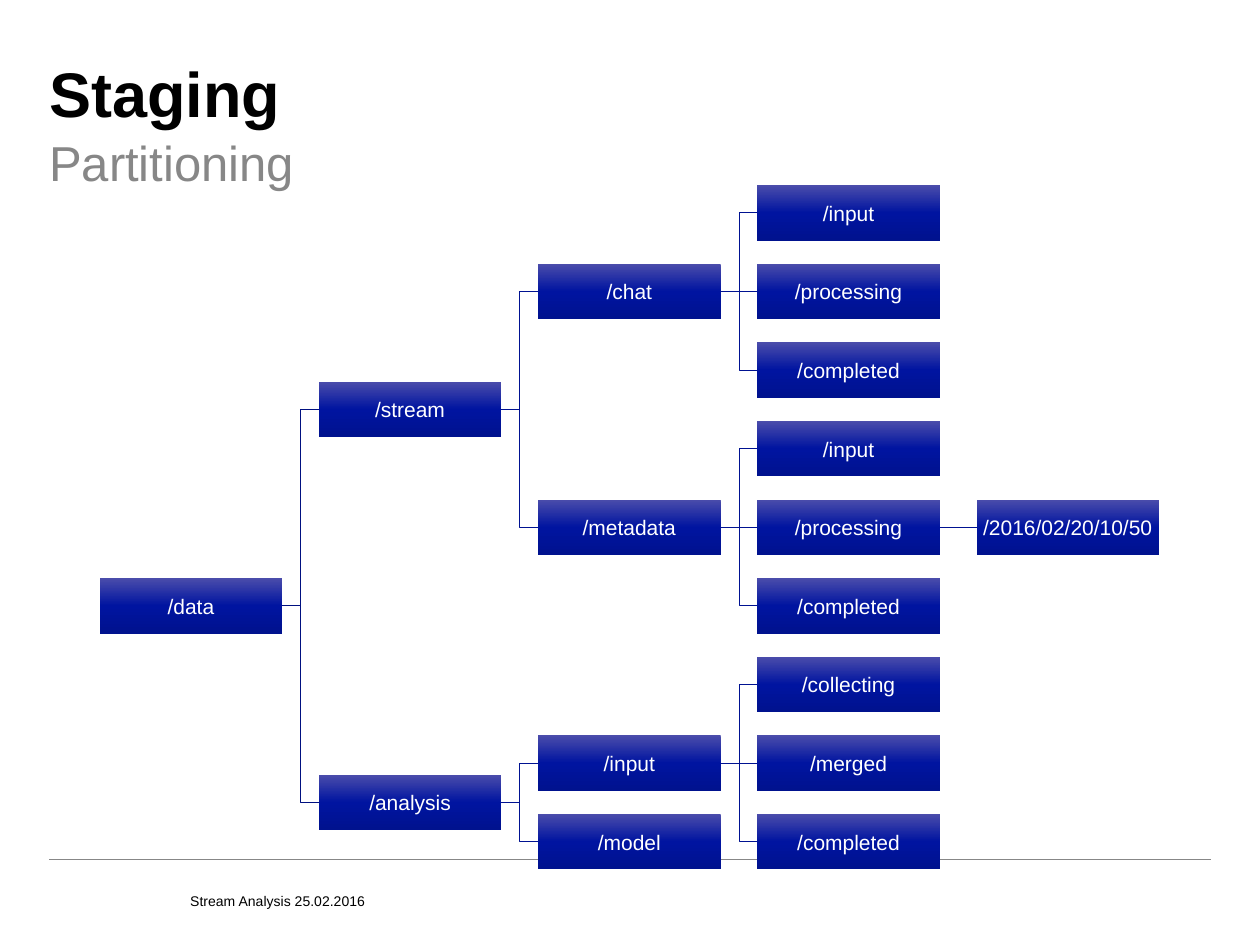
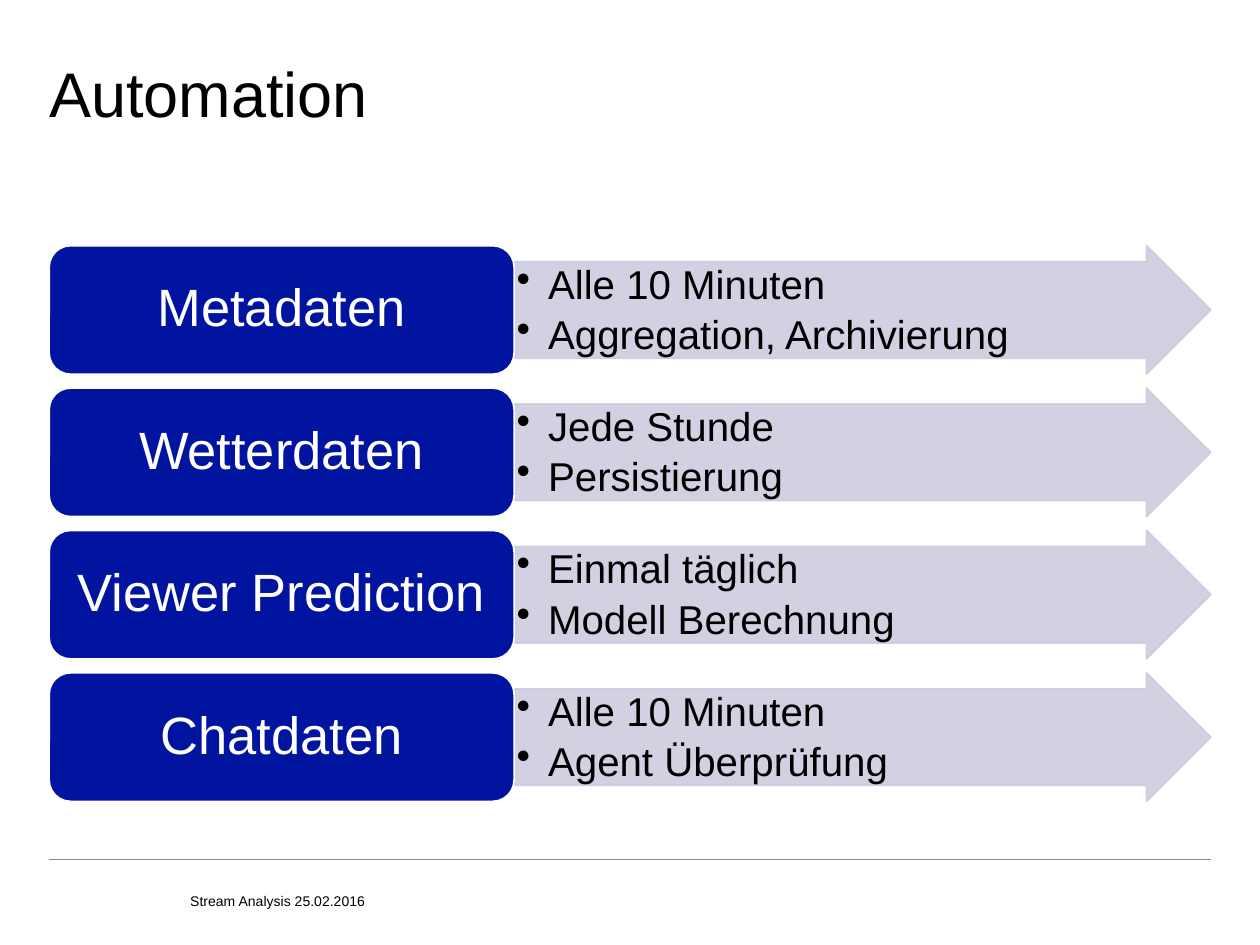
from copy import deepcopy
from dataclasses import dataclass, field

from lxml.etree import SubElement
from pptx import Presentation
from pptx.dml.color import RGBColor
from pptx.enum.shapes import MSO_CONNECTOR, MSO_SHAPE
from pptx.enum.text import MSO_ANCHOR, MSO_AUTO_SIZE, PP_ALIGN
from pptx.oxml.ns import qn
from pptx.util import Inches, Pt

BLACK = RGBColor(0x00, 0x00, 0x00)
WHITE = RGBColor(0xFF, 0xFF, 0xFF)
GRAY = RGBColor(0x87, 0x87, 0x87)
BLUE = RGBColor(0x00, 0x14, 0xA0)
PALE_BLUE = RGBColor(0xCC, 0xCC, 0xDF)
ROOT_LINE = RGBColor(0x00, 0x10, 0x80)
BRANCH_LINE = RGBColor(0x00, 0x12, 0x91)
FOLDER_GRADIENT = [
    (0, RGBColor(0x4B, 0x4D, 0xAB)),
    (0.5, BLUE),
    (1, RGBColor(0x00, 0x12, 0x8E)),
]

TITLE_AND_BODY, TITLE_ONLY = 1, 5
LEFT, RIGHT = 0.39, 9.61
FOOTER = "Stream Analysis 25.02.2016"

TREE_LEFT, TREE_TOP = 0.79, 1.47
FOLDER_WIDTH, FOLDER_HEIGHT = 1.45, 0.44
COLUMN_PITCH = 1.2 * FOLDER_WIDTH
ROW_PITCH = (6.46 - TREE_TOP) / 8

JOBS_TOP, JOB_PITCH, JOB_HEIGHT = 1.95, 1.13, 1.02
JOB_WIDTH = 3.69
JOBS = [
    ("Metadaten", ["Alle 10 Minuten", "Aggregation, Archivierung"]),
    ("Wetterdaten", ["Jede Stunde", "Persistierung"]),
    ("Viewer Prediction", ["Einmal täglich", "Modell Berechnung"]),
    ("Chatdaten", ["Alle 10 Minuten", "Agent Überprüfung"]),
]


@dataclass
class Folder:
    name: str
    leaf_row: float = 0
    children: list = field(default_factory=list)

    @property
    def row(self):
        """Parents sit halfway between their first and last child."""
        if not self.children:
            return self.leaf_row
        return (self.children[0].row + self.children[-1].row) / 2


def leaves(first_row, *names):
    return [Folder(name, first_row + i) for i, name in enumerate(names)]


def folder_tree():
    chat = Folder("/chat", children=leaves(0, "/input", "/processing", "/completed"))
    metadata = Folder("/metadata", children=leaves(3, "/input", "/processing", "/completed"))
    metadata.children[1].children = leaves(4, "/2016/02/20/10/50")
    results = Folder("/input", children=leaves(6, "/collecting", "/merged", "/completed"))
    stream = Folder("/stream", children=[chat, metadata])
    analysis = Folder("/analysis", children=[results, Folder("/model", 8)])
    return Folder("/data", children=[stream, analysis])


class Deck:
    def __init__(self, font="Arial"):
        self.font = font
        self.slide = None
        self.presentation = Presentation()
        self.presentation.slide_width = Inches(10)
        self.presentation.slide_height = Inches(7.5)

    def start_slide(self, layout, title, bold=False):
        self.slide = self.presentation.slides.add_slide(
            self.presentation.slide_layouts[layout])
        self.heading(self.slide.shapes.title, title, 0.41, 0.62, 36, BLACK, bold)
        footer = self.slide.shapes.add_textbox(
            Inches(1.51), Inches(6.9), Inches(7.43), Inches(0.32))
        self.set_text(footer, [FOOTER], 8, BLACK, anchor=MSO_ANCHOR.BOTTOM)

    def heading(self, placeholder, text, top, height, size, color, bold=False):
        placeholder.left, placeholder.top = Inches(LEFT), Inches(top)
        placeholder.width, placeholder.height = Inches(6.97), Inches(height)
        self.set_text(placeholder, [text], size, color, bold=bold, anchor=MSO_ANCHOR.BOTTOM)

    def subtitle(self, text):
        body = self.slide.placeholders[1]
        self.heading(body, text, 0.97, 0.55, 28, GRAY)
        paragraph = body.text_frame.paragraphs[0]
        paragraph.line_spacing = 1.1
        properties = paragraph._p.get_or_add_pPr()
        properties.set("marL", "0")
        properties.set("indent", "0")
        SubElement(properties, qn("a:buNone"))

    def set_text(self, shape, lines, size, color, bold=False, align=PP_ALIGN.LEFT,
                 anchor=MSO_ANCHOR.MIDDLE, inset=(0, 0)):
        """Fill a shape with one paragraph per line; inset is (sides, top and bottom)."""
        frame = shape.text_frame
        frame.text = "\n".join(lines)
        frame.word_wrap = True
        frame.auto_size = MSO_AUTO_SIZE.NONE
        frame.vertical_anchor = anchor
        frame.margin_left = frame.margin_right = Inches(inset[0])
        frame.margin_top = frame.margin_bottom = Inches(inset[1])
        for paragraph in frame.paragraphs:
            paragraph.alignment = align
            paragraph.space_before = Pt(0)
            for run in paragraph.runs:
                run.font.name = self.font
                run.font.size = Pt(size)
                run.font.bold = bold
                run.font.color.rgb = color

    def shape(self, kind, left, top, width, height):
        shape = self.slide.shapes.add_shape(
            kind, Inches(left), Inches(top), Inches(width), Inches(height))
        shape.shadow.inherit = False
        return shape

    def block(self, kind, left, top, width, height, fill, line):
        shape = self.shape(kind, left, top, width, height)
        shape.fill.solid()
        shape.fill.fore_color.rgb = fill
        shape.line.color.rgb = line
        shape.line.width = Pt(1)
        return shape

    def line(self, kind, color, start=(0, 0), end=(0, 0)):
        connector = self.slide.shapes.add_connector(
            kind, *(Inches(value) for value in (*start, *end)))
        connector.line.color.rgb = color
        connector.line.width = Pt(0.5)
        SubElement(connector._element.spPr, qn("a:effectLst"))
        return connector

    def rule_on_master(self):
        rule = self.line(MSO_CONNECTOR.STRAIGHT, GRAY, (LEFT, 6.82), (RIGHT, 6.82))
        self.presentation.slide_master.shapes._spTree.append(rule._element)

    def folder_box(self, folder, depth):
        box = self.shape(
            MSO_SHAPE.RECTANGLE, TREE_LEFT + depth * COLUMN_PITCH,
            TREE_TOP + folder.row * ROW_PITCH, FOLDER_WIDTH, FOLDER_HEIGHT)
        box.line.fill.background()
        box.fill.gradient()
        box.fill.gradient_angle = 270
        stop_list = box._element.spPr.find(".//" + qn("a:gsLst"))
        stop_list.insert(1, deepcopy(stop_list[0]))
        for stop, (position, color) in zip(box.fill.gradient_stops, FOLDER_GRADIENT):
            stop.position = position
            stop.color.rgb = color
        self.set_text(box, [folder.name], 12, WHITE, align=PP_ALIGN.CENTER, inset=(0.01, 0.01))
        return box

    def tree(self, folder, depth=0):
        """Draw a folder with everything below it and return its box."""
        box = self.folder_box(folder, depth)
        for child in folder.children:
            child_box = self.tree(child, depth + 1)
            level = child.row == folder.row
            branch = self.line(
                MSO_CONNECTOR.STRAIGHT if level else MSO_CONNECTOR.ELBOW,
                BRANCH_LINE if depth else ROOT_LINE)
            branch.begin_connect(box, 3)
            branch.end_connect(child_box, 1)
        return box

    def job_arrow(self, top, details):
        left = LEFT + JOB_WIDTH
        arrow = self.block(MSO_SHAPE.RIGHT_ARROW, left, top, RIGHT - left, JOB_HEIGHT,
                           PALE_BLUE, PALE_BLUE)
        arrow.adjustments[0], arrow.adjustments[1] = 0.75, 0.5
        for color in arrow._element.spPr.iter(qn("a:srgbClr")):
            SubElement(color, qn("a:alpha"), val="90000")
        self.set_text(arrow, details, 23, BLACK, anchor=MSO_ANCHOR.TOP, inset=(0.02, 0.02))
        for paragraph in arrow.text_frame.paragraphs:
            paragraph.line_spacing = 0.9
            paragraph.space_after = Pt(4)
            properties = paragraph._p.get_or_add_pPr()
            properties.set("marL", str(Inches(0.25)))
            properties.set("indent", str(-Inches(0.25)))
            SubElement(properties, qn("a:buChar"), char="•")

    def job(self, top, name, details):
        self.job_arrow(top, details)
        label = self.block(MSO_SHAPE.ROUNDED_RECTANGLE, LEFT, top, JOB_WIDTH, JOB_HEIGHT,
                           BLUE, WHITE)
        self.set_text(label, [name], 30, WHITE, align=PP_ALIGN.CENTER, inset=(0.12, 0.06))
        label.text_frame.paragraphs[0].line_spacing = 0.9


def main():
    deck = Deck()

    deck.start_slide(TITLE_AND_BODY, "Staging", bold=True)
    deck.rule_on_master()
    deck.subtitle("Partitioning")
    deck.tree(folder_tree())

    deck.start_slide(TITLE_ONLY, "Automation")
    for index, (name, details) in enumerate(JOBS):
        deck.job(JOBS_TOP + index * JOB_PITCH, name, details)

    deck.presentation.save("out.pptx")


if __name__ == "__main__":
    main()
